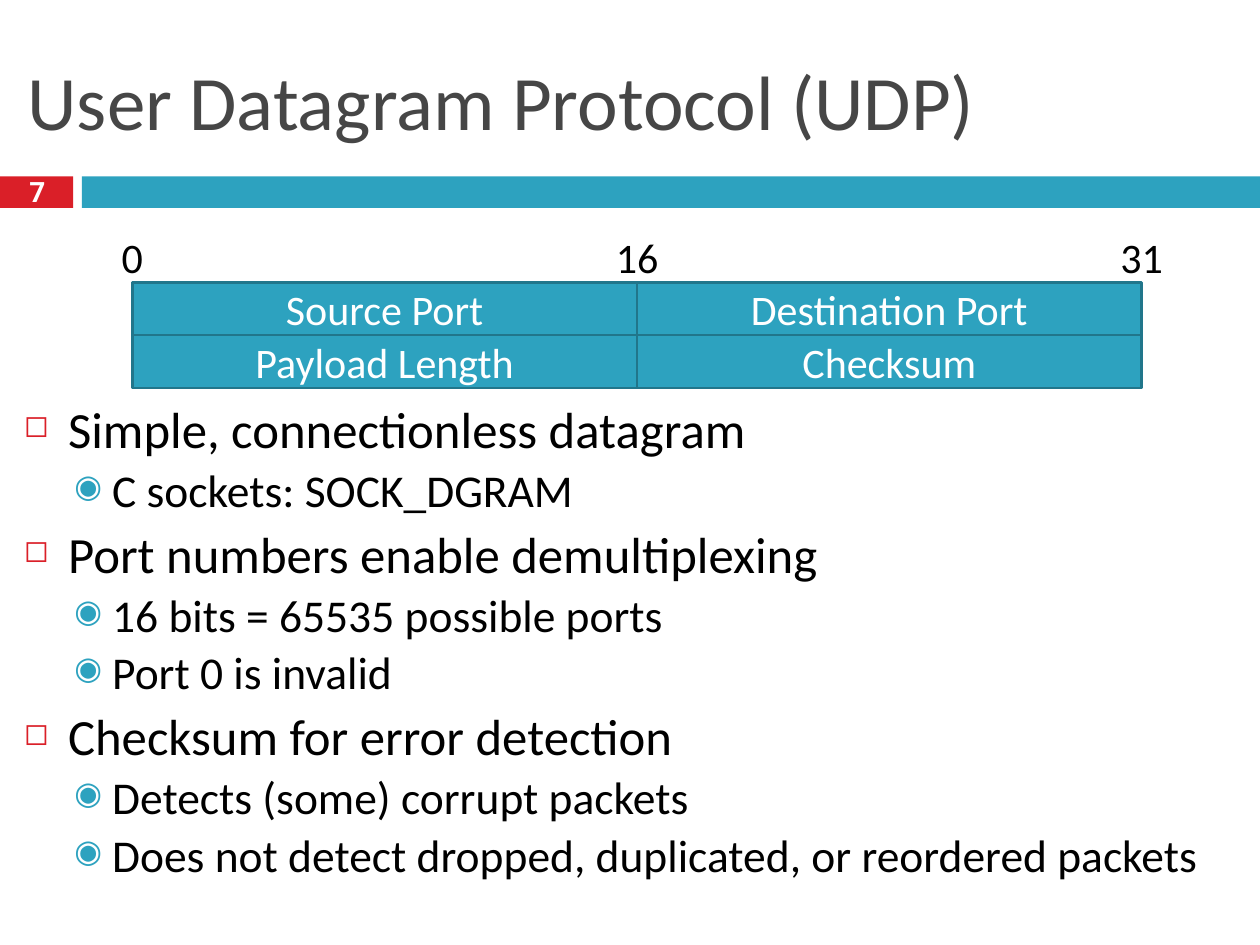
from lxml.etree import SubElement
from pptx import Presentation
from pptx.dml.color import RGBColor
from pptx.enum.shapes import MSO_SHAPE
from pptx.enum.text import MSO_ANCHOR, PP_ALIGN
from pptx.oxml.ns import qn
from pptx.util import Pt

COLORS = {
    "red": "DA1F28",
    "teal": "2DA2BF",
    "edge": "21768B",
    "title": "464646",
    "black": "000000",
    "white": "FFFFFF",
}

LEVELS = [
    {"size": 29, "before": 7, "margin": 25.2, "indent": -25.2,
     "bullet": "◻", "color": "red", "percent": 60},
    {"size": 26, "before": 5, "margin": 50.4, "indent": -21.6,
     "bullet": "◉", "color": "teal", "percent": 70},
]

BULLETS = [
    (0, "Simple, connectionless datagram"),
    (1, "C sockets: SOCK_DGRAM"),
    (0, "Port numbers enable demultiplexing"),
    (1, "16 bits = 65535 possible ports"),
    (1, "Port 0 is invalid"),
    (0, "Checksum for error detection"),
    (1, "Detects (some) corrupt packets"),
    (1, "Does not detect dropped, duplicated, or reordered packets"),
]

HEADER_FIELDS = [
    ["Source Port", "Destination Port"],
    ["Payload Length", "Checksum"],
]
BIT_LABELS = ["0", "16", "31"]
GRID_LEFT, GRID_TOP = 75.6, 161.3
CELL_WIDTH, CELL_HEIGHT = 288.4, 30.2
LABEL_WIDTH, LABEL_HEIGHT = 46.8, 34.6


class SlideBuilder:
    def __init__(self, slide, font="Calibri"):
        self.slide = slide
        self.font = font

    def color(self, name):
        return RGBColor.from_string(COLORS[name])

    def rectangle(self, left, top, width, height, fill, line=None):
        shape = self.slide.shapes.add_shape(
            MSO_SHAPE.RECTANGLE, Pt(left), Pt(top), Pt(width), Pt(height))
        shape.shadow.inherit = False
        shape.fill.solid()
        shape.fill.fore_color.rgb = self.color(fill)
        if line:
            shape.line.color.rgb = self.color(line)
            shape.line.width = Pt(1.5)
        else:
            shape.line.fill.background()

    def frame(self, left, top, width, height, anchor=MSO_ANCHOR.MIDDLE, wrap=True):
        box = self.slide.shapes.add_textbox(Pt(left), Pt(top), Pt(width), Pt(height))
        frame = box.text_frame
        frame.word_wrap = wrap
        frame.vertical_anchor = anchor
        frame.margin_left = frame.margin_right = Pt(3.6)
        frame.margin_top = frame.margin_bottom = Pt(3.6)
        return frame

    def span(self, para, text, size, color, font=None, bold=False):
        span = para.add_run()
        span.text = text
        span.font.name = font or self.font
        span.font.size = Pt(size)
        span.font.bold = bold
        span.font.color.rgb = self.color(color)

    def text(self, left, top, width, height, text, size, color,
             align=PP_ALIGN.CENTER, font=None, bold=False, wrap=True, spacing=None):
        para = self.frame(left, top, width, height, wrap=wrap).paragraphs[0]
        para.alignment = align
        para.line_spacing = spacing
        self.span(para, text, size, color, font, bold)

    def bullets(self, left, top, width, height, items):
        frame = self.frame(left, top, width, height, MSO_ANCHOR.TOP)
        for index, (level, text) in enumerate(items):
            style = LEVELS[level]
            para = frame.add_paragraph() if index else frame.paragraphs[0]
            para.level = level
            para.line_spacing = 0.9
            para.space_before = Pt(style["before"])
            self.span(para, text, style["size"], "black")
            self.bullet(para, style)

    def bullet(self, para, style):
        properties = para._p.get_or_add_pPr()
        properties.set("marL", str(Pt(style["margin"])))
        properties.set("indent", str(Pt(style["indent"])))
        color = SubElement(properties, qn("a:buClr"))
        SubElement(color, qn("a:srgbClr"), val=COLORS[style["color"]])
        SubElement(properties, qn("a:buSzPct"), val=str(style["percent"] * 1000))
        SubElement(properties, qn("a:buChar"), char=style["bullet"])

    def field(self, row, column, text):
        left = GRID_LEFT + column * CELL_WIDTH
        top = GRID_TOP + row * CELL_HEIGHT
        self.rectangle(left, top, CELL_WIDTH, CELL_HEIGHT, "teal", "edge")
        self.text(left, top - 2.2, CELL_WIDTH, LABEL_HEIGHT, text, 24, "white")


def main():
    deck = Presentation()
    deck.slide_width, deck.slide_height = Pt(720), Pt(540)
    page = SlideBuilder(deck.slides.add_slide(deck.slide_layouts[6]))

    page.rectangle(0, 100.8, 41.8, 18, "red")
    page.rectangle(46.8, 100.8, 673.2, 18, "teal")
    page.text(12.2, 18, 696, 77.8, "User Datagram Protocol (UDP)", 44, "title",
              align=PP_ALIGN.LEFT)
    page.text(13, 98.6, 16.6, 25.2, "7", 16, "white",
              font="Roboto", bold=True, wrap=False, spacing=0.8)
    page.bullets(10.1, 227.5, 696, 299.5, BULLETS)

    for row, fields in enumerate(HEADER_FIELDS):
        for column, name in enumerate(fields):
            page.field(row, column, name)
    for column, label in enumerate(BIT_LABELS):
        left = GRID_LEFT + column * CELL_WIDTH - LABEL_WIDTH / 2
        page.text(left, 129.6, LABEL_WIDTH, LABEL_HEIGHT, label, 24, "black")

    deck.save("out.pptx")


if __name__ == "__main__":
    main()
